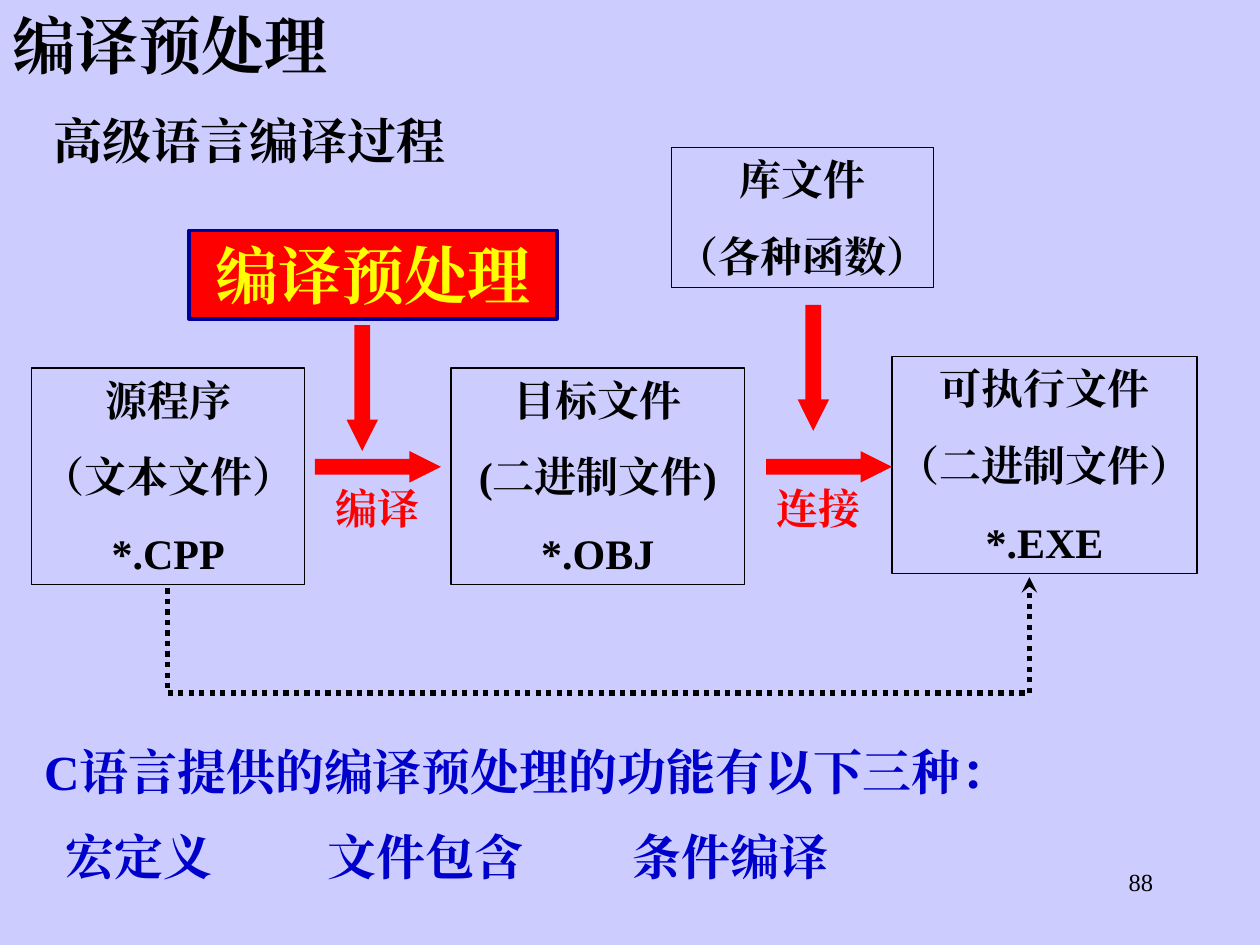
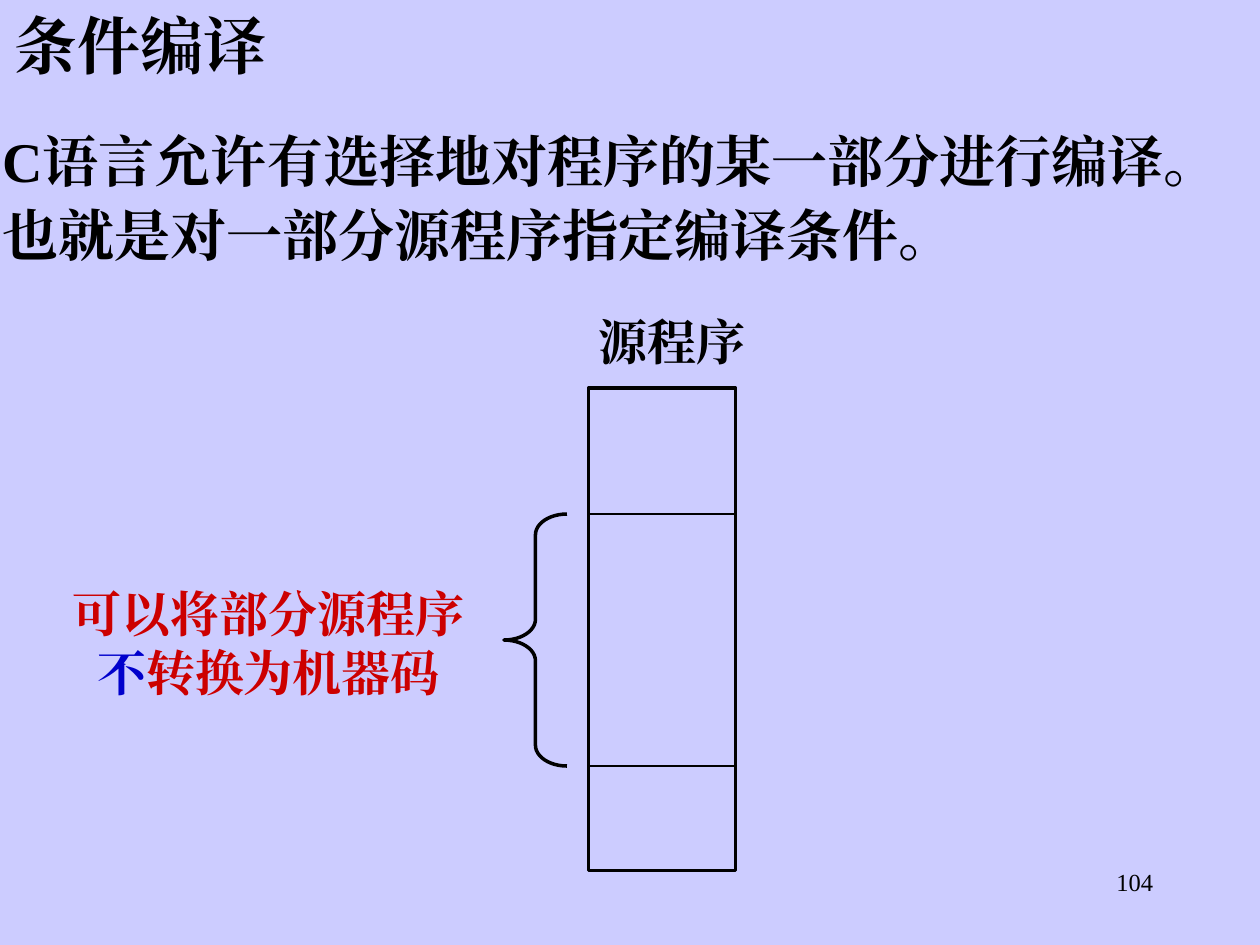
from dataclasses import dataclass
from typing import Optional

import lxml.etree
import pptx
import pptx.dml.color
import pptx.enum.dml
import pptx.enum.lang
import pptx.enum.shapes
import pptx.enum.text
import pptx.oxml.ns
import pptx.util

Inches = pptx.util.Inches
Pt = pptx.util.Pt
MSO = pptx.enum.shapes.MSO_SHAPE
ALIGN = pptx.enum.text.PP_ALIGN
qn = pptx.oxml.ns.qn

FONT = "Times New Roman"
COLORS = {
    "background": "CCCCFF",
    "ink": "000000",
    "red": "FF0000",
    "dark_red": "CC0000",
    "blue": "0000CC",
    "navy": "000099",
    "yellow": "FFFF00",
}
NORMAL_INSET = (0.1, 0.05)
TIGHT_INSET = (0.02, 0.01)
FLOW_Y = 3.58


@dataclass
class Box:
    left: float
    top: float
    width: float
    height: float


@dataclass
class TextStyle:
    size: float
    color: str = "ink"
    bold: bool = True
    align: ALIGN = ALIGN.LEFT
    inset: tuple[float, float] = NORMAL_INSET
    spacing: Optional[float] = None


@dataclass
class FileStage:
    box: Box
    lines: list[str]


Run = tuple[str, str]

TITLE = TextStyle(36)
PAGE_NUMBER = TextStyle(14, bold=False, align=ALIGN.RIGHT)
HEADING = TextStyle(28)
CENTERED = TextStyle(28, align=ALIGN.CENTER)
STAGE = TextStyle(24, align=ALIGN.CENTER, inset=(0, 0.05))
STEP = TextStyle(24, "red", align=ALIGN.CENTER, inset=(0, 0))
KEY_STEP = TextStyle(36, "yellow", align=ALIGN.CENTER)
FEATURE = TextStyle(28, "blue", inset=TIGHT_INSET, spacing=1.1)
BODY = TextStyle(32, inset=TIGHT_INSET, spacing=1.1)


def rgb(name: str) -> pptx.dml.color.RGBColor:
    return pptx.dml.color.RGBColor.from_string(COLORS[name])


def write(sp, paragraphs: list[list[Run]], style: TextStyle) -> None:
    tf = sp.text_frame
    tf.word_wrap = True
    tf.vertical_anchor = pptx.enum.text.MSO_ANCHOR.TOP
    tf.margin_left = tf.margin_right = Inches(style.inset[0])
    tf.margin_top = tf.margin_bottom = Inches(style.inset[1])
    for i, runs in enumerate(paragraphs):
        p = tf.add_paragraph() if i else tf.paragraphs[0]
        p.alignment = style.align
        p.line_spacing = style.spacing
        if i:
            p.space_before = Pt(15)
        for text, color in runs:
            r = p.add_run()
            r.text = text
            r.font.size = Pt(style.size)
            r.font.bold = style.bold
            r.font.color.rgb = rgb(color)
            r.font.name = FONT
            r.font.language_id = pptx.enum.lang.MSO_LANGUAGE_ID.SIMPLIFIED_CHINESE
            # East Asian characters take the same font as Latin ones
            ea = lxml.etree.SubElement(r.font._element, qn("a:ea"))
            ea.set("typeface", FONT)


def place(box: Box) -> tuple:
    return tuple(Inches(v) for v in (box.left, box.top, box.width, box.height))


def add_text(s, box: Box, style: TextStyle, *runs: Run) -> None:
    write(s.shapes.add_textbox(*place(box)), [list(runs)], style)


def add_label(s, box: Box, style: TextStyle, text: str) -> None:
    add_text(s, box, style, (text, style.color))


def add_preset(s, kind: MSO, box: Box, fill: Optional[str] = None,
               line: Optional[str] = None, width: float = 0.75):
    sp = s.shapes.add_shape(kind, *place(box))
    sp.shadow.inherit = False
    if fill:
        sp.fill.solid()
        sp.fill.fore_color.rgb = rgb(fill)
    else:
        sp.fill.background()
    if line:
        sp.line.color.rgb = rgb(line)
        sp.line.width = Pt(width)
    else:
        sp.line.fill.background()
    return sp


def add_block_arrow(s, kind: MSO, box: Box) -> None:
    sp = add_preset(s, kind, box, fill="red")
    sp.adjustments[0] = 0.5
    sp.adjustments[1] = 1


def add_line(s, start: tuple[float, float], end: tuple[float, float], width: float):
    line = s.shapes.add_connector(pptx.enum.shapes.MSO_CONNECTOR.STRAIGHT,
                                  *(Inches(v) for v in start + end))
    line.line.color.rgb = rgb("ink")
    line.line.width = Pt(width)
    lxml.etree.SubElement(line._element.spPr, qn("a:effectLst"))
    return line


def add_dotted_route(s, points: list[tuple[float, float]]) -> None:
    """Join the points with dotted lines; the last one ends in an arrowhead."""
    for start, end in zip(points, points[1:]):
        line = add_line(s, start, end, 3)
        line.line.dash_style = pptx.enum.dml.MSO_LINE.ROUND_DOT
    tail = lxml.etree.SubElement(line.line._get_or_add_ln(), qn("a:tailEnd"))
    tail.set("type", "stealth")


def new_slide(prs, title: str, number: int, title_left: float = 0):
    s = prs.slides.add_slide(prs.slide_layouts[6])
    s.background.fill.solid()
    s.background.fill.fore_color.rgb = rgb("background")
    add_label(s, Box(title_left, 0, 7.08, 0.7), TITLE, title)
    add_label(s, Box(7.17, 6.83, 2.08, 0.5), PAGE_NUMBER, str(number))
    return s


def build_preprocessing(prs) -> None:
    s = new_slide(prs, "编译预处理", 88)
    add_label(s, Box(0.33, 0.83, 5.75, 0.57), HEADING, "高级语言编译过程")

    stages = [
        FileStage(Box(0.25, 2.92, 2.17, 1.72), ["源程序", "（文本文件）", "*.CPP"]),
        FileStage(Box(3.58, 2.92, 2.33, 1.72), ["目标文件", "(二进制文件)", "*.OBJ"]),
        FileStage(Box(7.08, 2.83, 2.42, 1.72), ["可执行文件", "（二进制文件）", "*.EXE"]),
        FileStage(Box(5.33, 1.17, 2.08, 1.11), ["库文件", "（各种函数）"]),
    ]
    for stage in stages:
        sp = add_preset(s, MSO.RECTANGLE, stage.box, line="ink")
        write(sp, [[(text, STAGE.color)] for text in stage.lines], STAGE)

    add_dotted_route(s, [(1.33, 4.67), (1.33, 5.5), (8.17, 5.5), (8.17, 4.58)])

    for arrow_left, label_left, step in [(2.5, 2.58, "编译"), (6.08, 6.08, "连接")]:
        add_label(s, Box(label_left, FLOW_Y + 0.25, 0.83, 0.4), STEP, step)
        add_block_arrow(s, MSO.RIGHT_ARROW, Box(arrow_left, FLOW_Y, 1, 0.25))
    for left, top in [(6.33, 2.42), (2.75, 2.58)]:
        add_block_arrow(s, MSO.DOWN_ARROW, Box(left, top, 0.25, 1))

    key_step = add_preset(s, MSO.RECTANGLE, Box(1.5, 1.83, 2.92, 0.7),
                          fill="red", line="navy", width=2.25)
    write(key_step, [[("编译预处理", KEY_STEP.color)]], KEY_STEP)

    add_label(s, Box(0.33, 5.83, 7.92, 0.54), FEATURE,
              "C语言提供的编译预处理的功能有以下三种：")
    for left, feature in [(0.5, "宏定义"), (2.58, "文件包含"), (5, "条件编译")]:
        add_label(s, Box(left, 6.5, 2.42, 0.54), FEATURE, feature)


def build_conditional(prs) -> None:
    s = new_slide(prs, "条件编译", 104, title_left=0.02)
    add_label(s, Box(0, 0.94, 10, 1.2), BODY,
              "C语言允许有选择地对程序的某一部分进行编译。也就是对一部分源程序指定编译条件。")

    source = Box(4.67, 3.08, 1.17, 3.83)
    part_top, part_height = 4.08, 2
    add_preset(s, MSO.RECTANGLE, source, line="ink", width=1.75)
    for y in (part_top, part_top + part_height):
        add_line(s, (source.left, y), (source.left + source.width, y), 1)
    brace = add_preset(s, MSO.LEFT_BRACE, Box(4, part_top, 0.5, part_height),
                       line="ink", width=2)
    brace.adjustments[0] = 0.33
    brace.adjustments[1] = 0.5

    add_label(s, Box(4.5, 2.42, 1.67, 0.57), CENTERED, "源程序")
    add_text(s, Box(0.42, 4.58, 3.42, 1.04), CENTERED,
             ("可以将部分源程序", "dark_red"), ("不", "blue"), ("转换为机器码", "dark_red"))


def main() -> None:
    prs = pptx.Presentation()
    prs.slide_width = Inches(10)
    prs.slide_height = Inches(7.5)
    build_preprocessing(prs)
    build_conditional(prs)
    prs.save("out.pptx")


if __name__ == "__main__":
    main()
